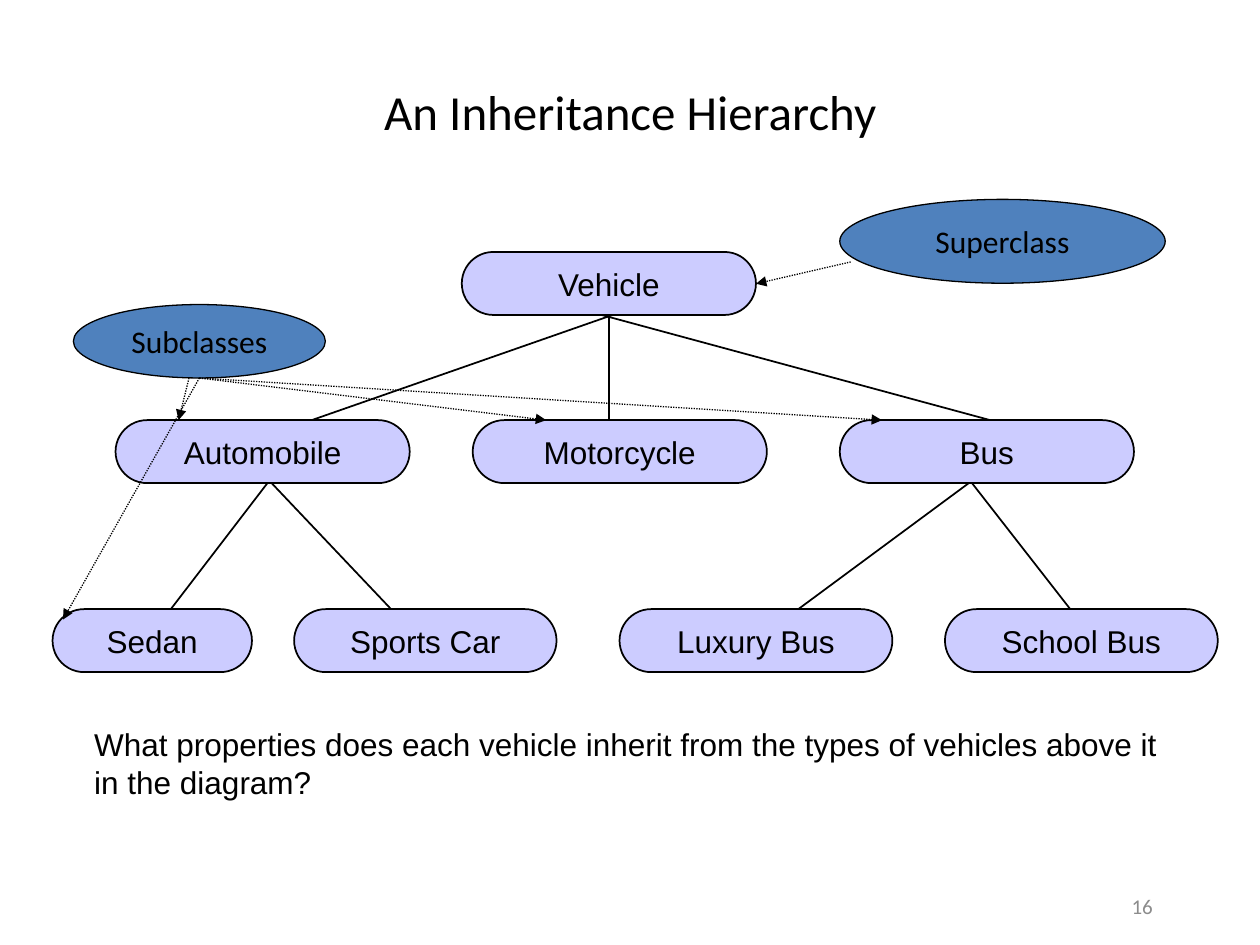
from pptx import Presentation
from pptx.dml.color import RGBColor
from pptx.enum.dml import MSO_LINE
from pptx.enum.shapes import MSO_CONNECTOR, MSO_SHAPE
from pptx.enum.text import MSO_ANCHOR, PP_ALIGN
from pptx.oxml.ns import qn
from pptx.util import Cm, Pt
from lxml import etree

COLORS = {"ink": "000000", "class": "CCCCFF", "label": "4F81BD", "number": "8C8C8C"}

# Content, lengths in cm
TITLE = "An Inheritance Hierarchy"
QUESTION = ("What properties does each vehicle inherit from the types of "
            "vehicles above it in the diagram?")
PAGE = "16"
BOX_HEIGHT = 1.27
LEVELS = [  # top, [(name, left, width)]
    (5.08, [("Vehicle", 9.31, 5.93)]),
    (8.47, [("Automobile", 2.33, 5.93), ("Motorcycle", 9.53, 5.93), ("Bus", 16.93, 5.93)]),
    (12.28, [("Sedan", 1.06, 4.02), ("Sports Car", 5.93, 5.29),
             ("Luxury Bus", 12.49, 5.5), ("School Bus", 19.05, 5.5)]),
]
BRANCHES = [  # x1, y1, x2, y2; the ends are tucked behind the boxes
    (13.55, 5.93, 5.08, 8.89), (12.28, 5.72, 12.28, 9.31), (10.58, 5.93, 20.74, 8.68),
    (5.72, 9.31, 2.96, 12.91), (4.87, 9.1, 8.68, 13.12),
    (20.11, 9.31, 15.24, 12.91), (19.26, 9.31, 22.23, 13.12),
]
LABELS = [  # name, (left, top, width, height), arrows
    ("Superclass", (16.93, 4.02, 6.56, 1.69), [(17.15, 5.28, 15.24, 5.72)]),
    ("Subclasses", (1.48, 6.14, 5.08, 1.48),
     [(3.81, 7.62, 3.6, 8.47)]
     + [(4.02, 7.62, x, y) for x, y in ((11.01, 8.47), (17.78, 8.47), (1.27, 12.49))]),
]

prs = Presentation()
prs.slide_width, prs.slide_height = Cm(25.4), Cm(19.05)
slide = prs.slides.add_slide(prs.slide_layouts[6])


def rgb(name):
    return RGBColor.from_string(COLORS[name])


def write(shape, text, font, size=18, align=PP_ALIGN.CENTER, color="ink",
          anchor=MSO_ANCHOR.MIDDLE, wrap=True):
    frame = shape.text_frame
    frame.word_wrap, frame.vertical_anchor = wrap, anchor
    paragraph = frame.paragraphs[0]
    paragraph.alignment = align
    run = paragraph.add_run()
    run.text = text
    run.font.name, run.font.size = font, Pt(size)
    run.font.color.rgb = rgb(color)


def add_text(box, *args, **style):
    write(slide.shapes.add_textbox(*map(Cm, box)), *args, **style)


def add_node(kind, box, text, font, fill, line_width):
    node = slide.shapes.add_shape(kind, *map(Cm, box))
    node.shadow.inherit = False
    node.fill.solid()
    node.fill.fore_color.rgb = rgb(fill)
    node.line.color.rgb = rgb("ink")
    node.line.width = Pt(line_width)
    write(node, text, font, wrap=False)
    return node


def add_line(ends, width, arrow=False):
    link = slide.shapes.add_connector(MSO_CONNECTOR.STRAIGHT, *map(Cm, ends))
    link.line.color.rgb = rgb("ink")
    link.line.width = Pt(width)
    if arrow:
        link.line.dash_style = MSO_LINE.ROUND_DOT
        line_xml = link.line._get_or_add_ln()
        etree.SubElement(line_xml, qn("a:tailEnd"), type="triangle")
    etree.SubElement(link._element.spPr, qn("a:effectLst"))


# Page number and title
add_text((18.21, 17.63, 5.28, 1.27), PAGE, "Calibri", 12, PP_ALIGN.RIGHT, "number")
add_text((1.91, 1.07, 21.59, 2.34), TITLE, "Calibri", 28)

# Class tree, lines behind boxes
for ends in BRANCHES:
    add_line(ends, 1)
for top, classes in LEVELS:
    for name, left, width in classes:
        box = add_node(MSO_SHAPE.ROUNDED_RECTANGLE, (left, top, width, BOX_HEIGHT),
                       name, "Arial", "class", 1)
        box.adjustments[0] = 0.5

# Question
add_text((1.65, 14.5, 22.05, 2.29), QUESTION, "Arial",
         align=PP_ALIGN.LEFT, anchor=MSO_ANCHOR.TOP)

# Labels with dotted arrows
for name, oval, arrows in LABELS:
    add_node(MSO_SHAPE.OVAL, oval, name, "Calibri", "label", 0.75)
    for ends in arrows:
        add_line(ends, 0.75, arrow=True)

prs.save("out.pptx")
